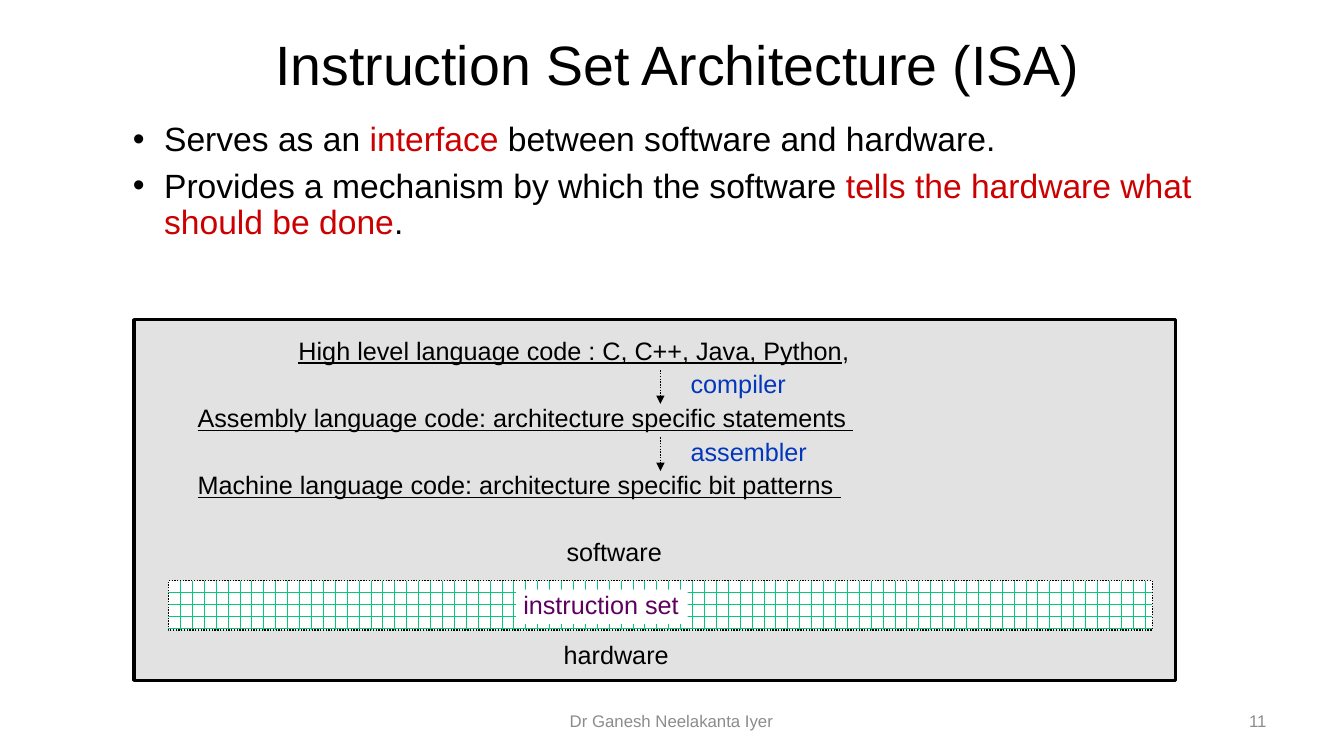
from dataclasses import dataclass

from lxml import etree
from pptx import Presentation
from pptx.dml.color import RGBColor
from pptx.enum import dml, shapes, text
from pptx.oxml import ns
from pptx.util import Inches, Pt


@dataclass(frozen=True)
class Theme:
    font: str = "Arial"
    ink: str = "000000"
    white: str = "FFFFFF"
    panel: str = "E2E2E2"
    key: str = "CC0000"
    tool: str = "0237BC"
    isa: str = "5F0060"
    brick: str = "09C77A"
    muted: str = "8C8C8C"
    title: float = 39.6
    body: float = 24
    label: float = 18
    footer: float = 12


THEME = Theme()
LABEL_INSETS = (0.07, 0.03)
FIRST_ROW, ROW_STEP = 3.34, 1 / 3


def rgb(value):
    return RGBColor.from_string(value)


def add_xml(parent, tag, **attributes):
    return etree.SubElement(parent, ns.qn(tag), attributes)


def write_runs(paragraph, pieces, size):
    """Write (words, colour, underlined) pieces into a paragraph."""
    for words, colour, underlined in pieces:
        run = paragraph.add_run()
        run.text = words
        run.font.name = THEME.font
        run.font.size = Pt(size)
        run.font.color.rgb = rgb(colour)
        if underlined:
            run.font.underline = True


def set_insets(frame, side, top):
    frame.margin_left = frame.margin_right = Inches(side)
    frame.margin_top = frame.margin_bottom = Inches(top)


def add_text_area(slide, left, top, width, height):
    area = slide.shapes.add_textbox(
        Inches(left), Inches(top), Inches(width), Inches(height))
    area.text_frame.word_wrap = True
    return area.text_frame


def add_line_of_text(slide, box, words, size, colour, align):
    """Add one line of text, centred vertically in its box."""
    frame = add_text_area(slide, *box)
    frame.vertical_anchor = text.MSO_ANCHOR.MIDDLE
    paragraph = frame.paragraphs[0]
    paragraph.alignment = align
    write_runs(paragraph, [(words, colour, False)], size)


def add_bullets(slide, box, points):
    frame = add_text_area(slide, *box)
    for index, pieces in enumerate(points):
        paragraph = frame.add_paragraph() if index else frame.paragraphs[0]
        paragraph.line_spacing = 0.9
        if index:
            paragraph.space_before = Pt(0.3 * THEME.body)
        properties = paragraph._p.get_or_add_pPr()
        properties.set("marL", str(Inches(0.31)))
        properties.set("indent", str(-Inches(0.31)))
        add_xml(properties, "a:buFont", typeface=THEME.font)
        add_xml(properties, "a:buChar", char="•")
        write_runs(paragraph, pieces, THEME.body)


def fill_label(frame, pieces, spacing):
    set_insets(frame, *LABEL_INSETS)
    frame.word_wrap = False
    frame.auto_size = text.MSO_AUTO_SIZE.SHAPE_TO_FIT_TEXT
    frame.vertical_anchor = text.MSO_ANCHOR.TOP
    paragraph = frame.paragraphs[0]
    paragraph.alignment = text.PP_ALIGN.LEFT
    paragraph.line_spacing = spacing
    write_runs(paragraph, pieces, THEME.label)


def add_label(slide, left, top, width, pieces):
    fill_label(add_text_area(slide, left, top, width, 0.31), pieces, 0.85)


def add_rectangle(slide, left, top, width, height, fill):
    rectangle = slide.shapes.add_shape(
        shapes.MSO_SHAPE.RECTANGLE,
        Inches(left), Inches(top), Inches(width), Inches(height))
    rectangle.shadow.inherit = False
    rectangle.fill.solid()
    rectangle.fill.fore_color.rgb = rgb(fill)
    rectangle.line.fill.background()
    return rectangle


def set_line(line, width, dash=None):
    line.color.rgb = rgb(THEME.ink)
    line.width = Pt(width)
    if dash:
        line.dash_style = dash


def add_down_arrow(slide, x, top, bottom):
    arrow = slide.shapes.add_connector(
        shapes.MSO_CONNECTOR.STRAIGHT,
        Inches(x), Inches(top), Inches(x), Inches(bottom))
    set_line(arrow.line, 1, dml.MSO_LINE.ROUND_DOT)
    add_xml(arrow.line._get_or_add_ln(), "a:tailEnd", type="triangle")
    add_xml(arrow._element.spPr, "a:effectLst")


def row_top(row):
    return FIRST_ROW + row * ROW_STEP


def add_translation_steps(slide):
    """Stack the code levels, with a tool and an arrow between them."""
    levels = [
        (2.89, 5.65, "High level language code : C, C++, Java, Python", ","),
        (1.89, 6.7, "Assembly language code: architecture specific statements ", ""),
        (1.89, 6.58, "Machine language code: architecture specific bit patterns ", ""),
    ]
    for index, (left, width, words, ending) in enumerate(levels):
        pieces = [(words, THEME.ink, True)]
        if ending:
            pieces.append((ending, THEME.ink, False))
        add_label(slide, left, row_top(2 * index), width, pieces)
    for row, tool, width in ((1, "compiler", 1.09), (3, "assembler", 1.31)):
        add_down_arrow(slide, 6.55, row_top(row), row_top(row + 1))
        add_label(slide, 6.78, row_top(row), width, [(tool, THEME.tool, False)])


def add_instruction_set_layer(slide):
    """Draw the brick layer between software and hardware."""
    wall = add_rectangle(slide, 1.67, 5.76, 9.76, 0.49, THEME.white)
    wall.fill.patterned()
    wall.fill.pattern = dml.MSO_PATTERN.HORIZONTAL_BRICK
    wall.fill.fore_color.rgb = rgb(THEME.brick)
    wall.fill.back_color.rgb = rgb(THEME.white)
    set_line(wall.line, 1, dml.MSO_LINE.ROUND_DOT)
    plate = add_rectangle(slide, 5.12, 5.85, 1.7, 0.34, THEME.white)
    fill_label(plate.text_frame, [("instruction set", THEME.isa, False)], 0.92)
    add_label(slide, 5.55, row_top(6), 1.09, [("software", THEME.ink, False)])
    add_label(slide, 5.52, 6.36, 1.19, [("hardware", THEME.ink, False)])


def main():
    deck = Presentation()
    deck.slide_width, deck.slide_height = Inches(13.33), Inches(7.5)
    slide = deck.slides.add_slide(deck.slide_layouts[6])

    panel = add_rectangle(slide, 1.33, 3.17, 10.33, 3.58, THEME.panel)
    set_line(panel.line, 2.25)
    add_line_of_text(slide, (1.22, 0.42, 11, 0.42),
                     "Instruction Set Architecture (ISA)",
                     THEME.title, THEME.ink, text.PP_ALIGN.CENTER)
    add_bullets(slide, (1.22, 1.17, 10.77, 1.92), [
        [("Serves as an ", THEME.ink, False),
         ("interface", THEME.key, False),
         (" between software and hardware.", THEME.ink, False)],
        [("Provides a mechanism by which the software ", THEME.ink, False),
         ("tells the hardware what should be done", THEME.key, False),
         (".", THEME.ink, False)],
    ])
    add_instruction_set_layer(slide)
    add_translation_steps(slide)
    add_line_of_text(slide, (9.55, 6.95, 3.11, 0.4), "11",
                     THEME.footer, THEME.muted, text.PP_ALIGN.RIGHT)
    add_line_of_text(slide, (4.55, 6.95, 4.22, 0.4), "Dr Ganesh Neelakanta Iyer",
                     THEME.footer, THEME.muted, text.PP_ALIGN.CENTER)
    deck.save("out.pptx")


if __name__ == "__main__":
    main()
